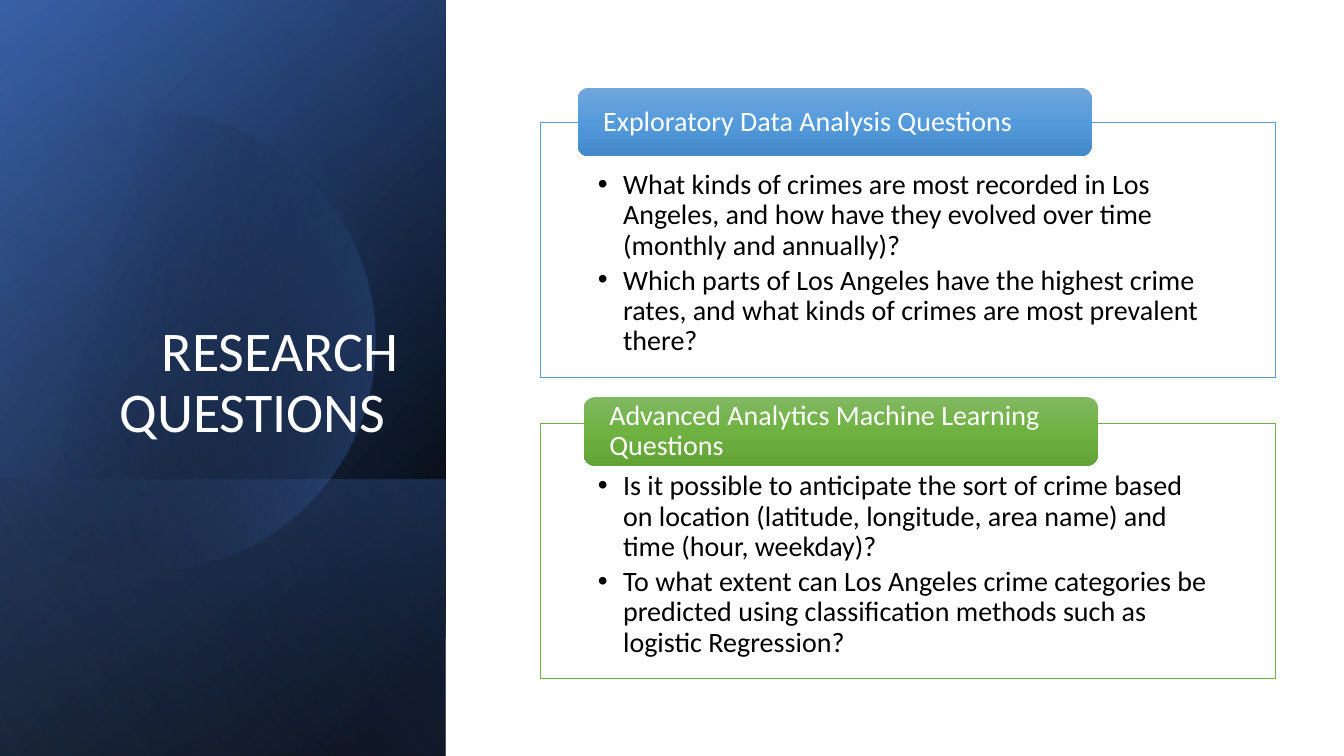
from lxml import etree
from pptx import Presentation
from pptx.dml.color import RGBColor
from pptx.enum.shapes import MSO_SHAPE as SHAPE
from pptx.enum.text import MSO_ANCHOR as ANCHOR, MSO_AUTO_SIZE as AUTO, PP_ALIGN as ALIGN
from pptx.oxml import parse_xml
from pptx.oxml.ns import nsdecls, qn
from pptx.util import Inches, Pt

BLACK = RGBColor(0x00, 0x00, 0x00)
WHITE = RGBColor(0xFF, 0xFF, 0xFF)
NAVY = RGBColor(0x2F, 0x55, 0x97)
BLUE = RGBColor(0x44, 0x72, 0xC4)
PALE = RGBColor(0x8F, 0xAA, 0xDC)
SKY = RGBColor(0x5B, 0x9B, 0xD5)
GREEN = RGBColor(0x70, 0xAD, 0x47)
SKY_FADE = [(0, RGBColor(0x71, 0xA6, 0xDB), 100), (50, RGBColor(0x55, 0x9B, 0xDB), 100),
            (100, RGBColor(0x44, 0x8A, 0xCA), 100)]
GREEN_FADE = [(0, RGBColor(0x81, 0xB8, 0x61), 100), (50, RGBColor(0x6F, 0xB2, 0x42), 100),
              (100, RGBColor(0x62, 0xA3, 0x36), 100)]


def shade(shape, stops, angle):
    """Gradient fill from (position, colour, opacity) stops; no line or shadow."""
    shape.shadow.inherit = False
    shape.line.fill.background()
    shape.fill.background()
    marks = "".join(
        f'<a:gs pos="{pos * 1000}"><a:srgbClr val="{color}">'
        f'<a:alpha val="{alpha * 1000}"/></a:srgbClr></a:gs>'
        for pos, color, alpha in stops)
    grad = parse_xml(f'<a:gradFill {nsdecls("a")} rotWithShape="1"><a:gsLst>{marks}</a:gsLst>'
                     f'<a:lin ang="{angle * 60000}" scaled="0"/></a:gradFill>')
    props = shape.element.spPr
    props.replace(props.find(qn("a:noFill")), grad)


def write(par, text, size, color):
    par.line_spacing = 0.9
    par.space_before = Pt(0)
    run = par.add_run()
    run.text = text
    run.font.name = "Calibri"
    run.font.size = Pt(size)
    run.font.color.rgb = color


deck = Presentation()
deck.slide_width, deck.slide_height = Inches(13.33), Inches(7.5)
slide = deck.slides.add_slide(deck.slide_layouts[3])
shapes = slide.shapes
title, *lists = [slide.placeholders[i] for i in range(3)]
for spot in list(slide.placeholders)[3:]:
    spot.element.getparent().remove(spot.element)

# Left panel: turned gradient layers, with the round glow below the last one
tall = (-1.54, 1.54, 7.5, 4.42)
layers = [
    (tall, [(8, BLACK, 100), (100, NAVY, 100)], 50),
    (tall, [(0, BLACK, 0), (99, BLUE, 46)], 30),
    ((0.84, 3.92, 2.74, 4.42), [(2, BLUE, 29), (100, BLACK, 30)], 130),
    (tall, [(0, BLACK, 0), (99, PALE, 11)], 120),
]
for box, stops, angle in layers:
    layer = shapes.add_shape(SHAPE.RECTANGLE, *map(Inches, box))
    layer.rotation = 90
    layer.element.spPr.xfrm.set("flipH", "1")
    shade(layer, stops, angle)

# Glow: cubic curves sampled into short segments, cut at the slide edge
curves = [
    ((0.8, 1.19), (1.03, 1.13), (1.26, 1.1), (1.49, 1.1)),
    ((1.49, 1.1), (2.46, 1.12), (3.35, 1.77), (3.63, 2.75)),
    ((3.63, 2.75), (3.98, 3.97), (3.28, 5.23), (2.07, 5.58)),
    ((2.07, 5.58), (1.31, 5.8), (0.53, 5.61), (-0.03, 5.14)),
]
dots = [(0, 1.61), (0.23, 1.42), (0.5, 1.28)]
for curve in curves:
    for step in range(25):
        t = step / 24
        parts = ((1 - t) ** 3, 3 * t * (1 - t) ** 2, 3 * t * t * (1 - t), t ** 3)
        x, y = (sum(w * p[axis] for w, p in zip(parts, curve)) for axis in (0, 1))
        dots.append((max(0, x), y))
pen = shapes.build_freeform(Inches(dots[0][0]), Inches(dots[0][1]))
pen.add_line_segments([(Inches(x), Inches(y)) for x, y in dots[1:]], close=True)
glow = pen.convert_to_shape()
shade(glow, [(29, BLACK, 0), (100, BLUE, 43)], 14)
layer.element.addprevious(glow.element)

# Title, in front of the panel
shapes.element.append(title.element)
title.left, title.top, title.width, title.height = map(Inches, (0.64, 1.84, 3.41, 2.62))
frame = title.text_frame
frame.auto_size = AUTO.NONE
frame.word_wrap = True
frame.vertical_anchor = ANCHOR.BOTTOM
frame.paragraphs[0].alignment = ALIGN.RIGHT
write(frame.paragraphs[0], "RESEARCH QUESTIONS ", 40, WHITE)

# Question boxes, each with a header tab
topics = [
    (1.21, SKY, (5.73, 0.87), SKY_FADE, "Exploratory Data Analysis Questions", [
        "What kinds of crimes are most recorded in Los Angeles, and how have they "
        "evolved over time (monthly and annually)?",
        "Which parts of Los Angeles have the highest crime rates, and what kinds of "
        "crimes are most prevalent there?"]),
    (4.2, GREEN, (5.79, 3.94), GREEN_FADE, "Advanced Analytics Machine Learning Questions", [
        "Is it possible to anticipate the sort of crime based on location (latitude, "
        "longitude, area name) and time (hour, weekday)?",
        "To what extent can Los Angeles crime categories be predicted using "
        "classification methods such as logistic Regression?"]),
]
for body, (top, edge, spot, fade, head, items) in zip(lists, topics):
    body.left, body.top, body.width, body.height = map(Inches, (5.36, top, 7.29, 2.53))
    body.fill.solid()
    body.fill.fore_color.rgb = WHITE
    body.line.color.rgb = edge
    body.line.width = Pt(0.5)
    frame = body.text_frame
    frame.auto_size = AUTO.NONE
    frame.word_wrap = True
    frame.vertical_anchor = ANCHOR.TOP
    frame.margin_left = frame.margin_right = Inches(0.57)
    frame.margin_top, frame.margin_bottom = Inches(0.48), Inches(0.16)
    for i, item in enumerate(items):
        par = frame.add_paragraph() if i else frame.paragraphs[0]
        props = par._p.get_or_add_pPr()
        props.set("marL", str(Inches(0.25)))
        props.set("indent", str(Inches(-0.25)))
        etree.SubElement(props, qn("a:buChar")).set("char", "•")
        par.space_after = Pt(3.5)
        write(par, item, 20, BLACK)

    tab = shapes.add_shape(SHAPE.ROUNDED_RECTANGLE, *map(Inches, (*spot, 5.1, 0.68)))
    shade(tab, fade, 90)
    frame = tab.text_frame
    frame.word_wrap = True
    frame.vertical_anchor = ANCHOR.MIDDLE
    frame.margin_left = frame.margin_right = Inches(0.22)
    frame.margin_top = frame.margin_bottom = 0
    frame.paragraphs[0].alignment = ALIGN.LEFT
    write(frame.paragraphs[0], head, 20, WHITE)

deck.save("out.pptx")
